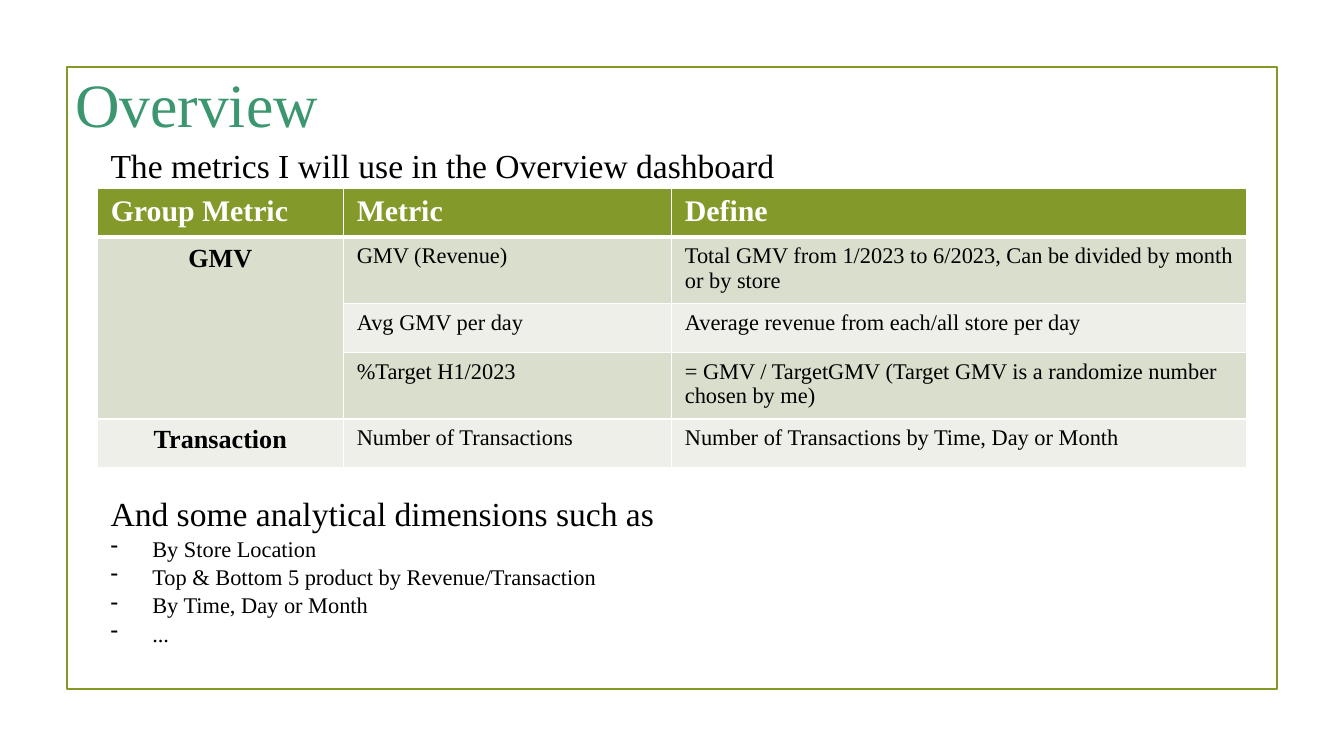
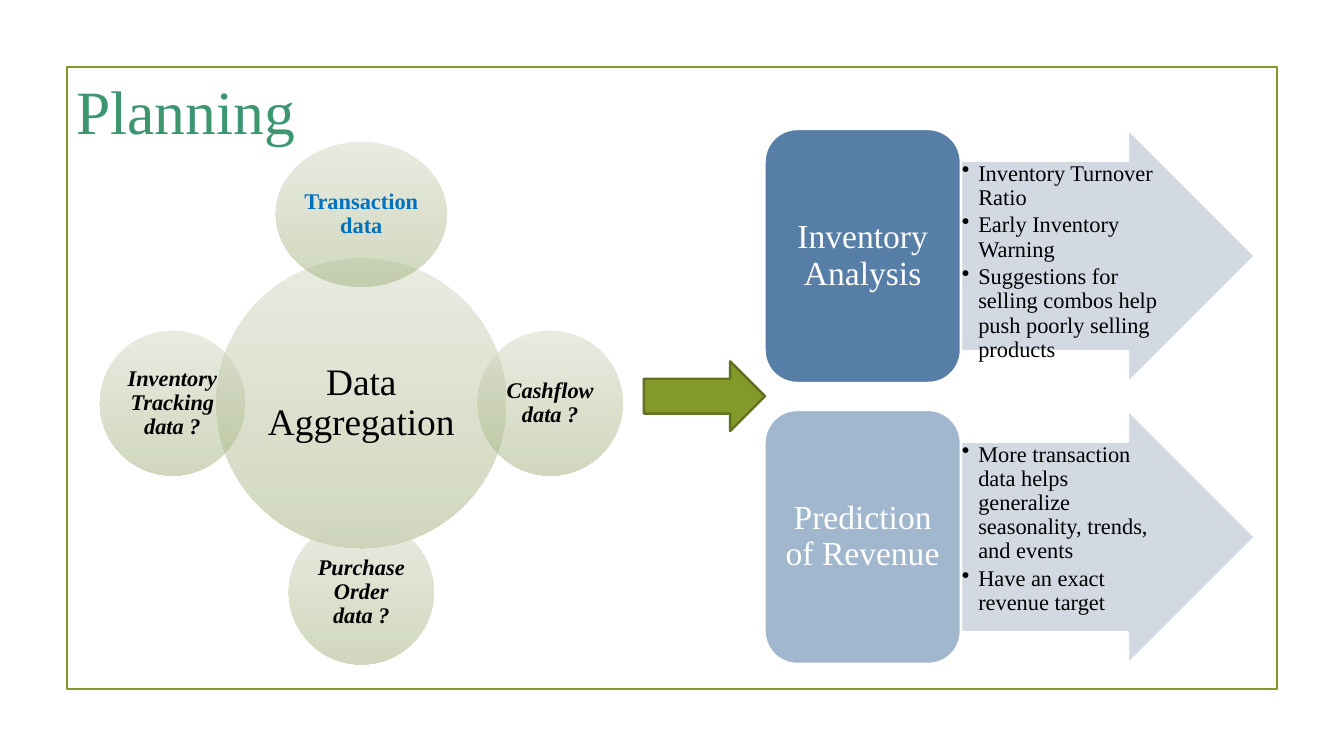
from pptx import Presentation
from pptx.dml.color import RGBColor
from pptx.enum import shapes, text
from pptx.oxml import ns
from pptx.util import Cm, Pt
from lxml import etree

FONT = "Times New Roman"
OLIVE = RGBColor(0x83, 0x99, 0x2A)
DARK_OLIVE = RGBColor(0x61, 0x71, 0x1F)
TITLE_GREEN = RGBColor(0x3C, 0x97, 0x70)
BLACK = RGBColor(0, 0, 0)
WHITE = RGBColor(0xFF, 0xFF, 0xFF)
BAND_DARK = RGBColor(0xD9, 0xDE, 0xCD)
BAND_LIGHT = RGBColor(0xED, 0xEF, 0xE8)
CIRCLE_TOP = RGBColor(0xD3, 0xD9, 0xC4)
CIRCLE_BOTTOM = RGBColor(0xA3, 0xB1, 0x7D)
LINK_BLUE = RGBColor(0x00, 0x70, 0xC0)
CARD_BLUE = RGBColor(0x44, 0x70, 0x9D)
ARROW_GREY = RGBColor(0xCF, 0xD5, 0xDF)

LEFT, CENTER = text.PP_ALIGN.LEFT, text.PP_ALIGN.CENTER
TOP, MIDDLE = text.MSO_ANCHOR.TOP, text.MSO_ANCHOR.MIDDLE

METRICS = [
    ("Group Metric", "Metric", "Define"),
    ("GMV", "GMV (Revenue)",
     "Total GMV from 1/2023 to 6/2023, Can be divided by month or by store"),
    ("", "Avg GMV per day", "Average revenue from each/all store per day"),
    ("", "%Target H1/2023",
     "= GMV / TargetGMV (Target GMV is a randomize number chosen by me)"),
    ("Transaction", "Number of Transactions",
     "Number of Transactions by Time, Day or Month"),
]
DIMENSIONS = ["By Store Location", "Top & Bottom 5 product by Revenue/Transaction",
              "By Time, Day or Month", "..."]
# Text, horizontal and vertical direction from the hub, width, format
SOURCES = [
    ("Transaction data", 0, -1, 3.23, {"color": LINK_BLUE}),
    ("Cashflow data ?", 1, 0, 2.74, {"italic": True}),
    ("Purchase Order data ?", 0, 1, 2.74, {"italic": True}),
    ("Inventory Tracking data ?", -1, 0, 2.74, {"italic": True}),
]
PLANS = [
    ("Inventory Analysis", 90,
     ["Inventory Turnover Ratio", "Early Inventory Warning",
      "Suggestions for selling combos help push poorly selling products"]),
    ("Prediction of Revenue", 50,
     ["More transaction data helps generalize seasonality, trends, and events",
      "Have an exact revenue target"]),
]


def write(frame, words, size=12, color=BLACK, bold=False, italic=False, align=LEFT,
          spacing=None, after=None, bullet=None, indent=0):
    """Add a paragraph, filling the first one while the frame is still empty."""
    paragraph = frame.paragraphs[0] if not frame.text else frame.add_paragraph()
    run = paragraph.add_run()
    run.text = words
    font = run.font
    font.name, font.size, font.bold, font.italic = FONT, Pt(size), bold, italic
    font.color.rgb = color
    paragraph.alignment = align
    if spacing:
        paragraph.line_spacing = spacing
    if after:
        paragraph.space_after = Pt(after)
    if bullet:
        properties = paragraph._p.get_or_add_pPr()
        properties.set("marL", str(Cm(indent)))
        properties.set("indent", str(-Cm(indent)))
        etree.SubElement(properties, ns.qn("a:buChar"), char=bullet)


def set_margins(frame, horizontal, vertical):
    frame.margin_left = frame.margin_right = Cm(horizontal)
    frame.margin_top = frame.margin_bottom = Cm(vertical)


def add_shape(slide, kind, box, fill=None, opacity=100, line=None, margins=(0.05, 0.05),
              anchor=MIDDLE):
    """Add a preset shape; a pair of fill colours makes a vertical gradient."""
    shape = slide.shapes.add_shape(kind, *map(Cm, box))
    shape.shadow.inherit = False
    if fill is None:
        shape.fill.background()
    elif isinstance(fill, list):
        shape.fill.gradient()
        shape.fill.gradient_angle = 270
        for stop, color in zip(shape.fill.gradient_stops, fill):
            stop.color.rgb = color
    else:
        shape.fill.solid()
        shape.fill.fore_color.rgb = fill
    if opacity < 100:
        for color in list(shape.element.spPr.iter(ns.qn("a:srgbClr"))):
            etree.SubElement(color, ns.qn("a:alpha"), val=str(opacity * 1000))
    if line is None:
        shape.line.fill.background()
    else:
        shape.line.color.rgb = line
        shape.line.width = Pt(1.25)
    shape.text_frame.word_wrap = True
    shape.text_frame.vertical_anchor = anchor
    set_margins(shape.text_frame, *margins)
    return shape


def add_text_box(slide, box):
    frame = slide.shapes.add_textbox(*map(Cm, box)).text_frame
    frame.word_wrap = True
    return frame


def add_titled_slide(presentation, title, box):
    slide = presentation.slides.add_slide(presentation.slide_layouts[5])
    shape = slide.shapes.title
    shape.left, shape.top, shape.width, shape.height = map(Cm, box)
    frame = shape.text_frame
    frame.auto_size = text.MSO_AUTO_SIZE.NONE
    frame.vertical_anchor = TOP
    set_margins(frame, 0.25, 0.25)
    frame.margin_top = Cm(0.41)
    write(frame, title, size=33, color=TITLE_GREEN)
    return slide


def add_frame_to_layout(slide):
    """Draw the olive frame and hand it to the layout that all slides share."""
    frame = add_shape(slide, shapes.MSO_SHAPE.RECTANGLE, (1.27, 1.27, 22.86, 11.76),
                      line=OLIVE)
    slide.slide_layout.shapes.element.insert(2, frame.element)


def set_borders(cell, top=1, bottom=1):
    properties = cell._tc.get_or_add_tcPr()
    for side, width in (("L", 1), ("R", 1), ("T", top), ("B", bottom)):
        line = etree.SubElement(properties, ns.qn("a:ln" + side), w=str(Pt(width)))
        fill = etree.SubElement(line, ns.qn("a:solidFill"))
        etree.SubElement(fill, ns.qn("a:srgbClr"), val=str(WHITE))


def add_metrics_table(slide, box):
    table = slide.shapes.add_table(len(METRICS), 3, *map(Cm, box)).table
    for column, width in zip(table.columns, (4.65, 6.2, 10.88)):
        column.width = Cm(width)
    for row, height in zip(table.rows, (0.92, 1.26, 0.92, 1.26, 0.92)):
        row.height = Cm(height)
    for r, values in enumerate(METRICS):
        for c, value in enumerate(values):
            cell = table.cell(r, c)
            set_borders(cell, top=3 if r == 1 else 1, bottom=3 if r == 0 else 1)
            cell.fill.solid()
            if r == 0:
                cell.fill.fore_color.rgb = OLIVE
                style = {"size": 16, "color": WHITE, "bold": True}
            else:
                cell.fill.fore_color.rgb = BAND_DARK if r % 2 else BAND_LIGHT
                style = {"size": 14, "bold": True, "align": CENTER} if c == 0 else {}
            if value:
                write(cell.text_frame, value, **style)
    table.cell(1, 0).merge(table.cell(3, 0))


def add_dimensions(slide, box):
    frame = add_text_box(slide, box)
    write(frame, "And some analytical dimensions such as", size=18)
    for dimension in DIMENSIONS:
        write(frame, dimension, bullet="-", indent=0.79, spacing=1.06)


def add_circle(slide, center_x, center_y, width, height, words, **style):
    box = (center_x - width / 2, center_y - height / 2, width, height)
    circle = add_shape(slide, shapes.MSO_SHAPE.OVAL, box,
                       fill=[CIRCLE_TOP, CIRCLE_BOTTOM], opacity=50)
    write(circle.text_frame, words, align=CENTER, spacing=0.9, **style)


def add_data_sources(slide, box):
    """Place a large hub in the middle of the box and a source at each side."""
    left, top, width, height = box
    center_x, center_y = left + width / 2, top + height / 2
    small = 2.74
    reach = (width - small) / 2
    add_circle(slide, center_x, center_y, 2 * small, 2 * small, "Data Aggregation", size=20)
    for words, across, down, source_width, style in SOURCES:
        add_circle(slide, center_x + across * reach, center_y + down * reach,
                   source_width, small, words, bold=True, **style)


def add_plans(slide, box):
    """Stack the plans, each a card followed by an arrow with its details."""
    left, top, width, height = box
    gap, card_width = 0.51, 3.71
    row_height = (height - gap * (len(PLANS) - 1)) / len(PLANS)
    for index, (name, opacity, details) in enumerate(PLANS):
        y = top + index * (row_height + gap)
        arrow = add_shape(slide, shapes.MSO_SHAPE.RIGHT_ARROW,
                          (left + card_width, y, width - card_width, row_height),
                          fill=ARROW_GREY, opacity=90, line=WHITE,
                          margins=(0.02, 0.02), anchor=TOP)
        arrow.adjustments[0] = 0.75
        for detail in details:
            write(arrow.text_frame, detail, bullet="•", indent=0.31, spacing=0.9, after=1.8)
        card = add_shape(slide, shapes.MSO_SHAPE.ROUNDED_RECTANGLE,
                         (left, y, card_width, row_height), fill=CARD_BLUE,
                         opacity=opacity, line=WHITE, margins=(0.18, 0.1))
        write(card.text_frame, name, size=18, color=WHITE, align=CENTER, spacing=0.9)


def build_overview(presentation):
    slide = add_titled_slide(presentation, "Overview", (1.17, 0.84, 5.41, 1.73))
    add_frame_to_layout(slide)
    add_metrics_table(slide, (1.84, 3.56, 21.73, 5.28))
    write(add_text_box(slide, (1.84, 2.62, 16.97, 1.02)),
          "The metrics I will use in the Overview dashboard", size=18)
    add_dimensions(slide, (1.84, 9.19, 16.48, 3.07))


def build_planning(presentation):
    slide = add_titled_slide(presentation, "Planning", (1.19, 0.97, 4.98, 1.37))
    add_data_sources(slide, (1.89, 2.68, 9.88, 9.88))
    add_plans(slide, (14.45, 2.44, 9.27, 10.11))
    add_shape(slide, shapes.MSO_SHAPE.RIGHT_ARROW, (12.17, 6.83, 2.29, 1.32),
              fill=OLIVE, line=DARK_OLIVE)


def main():
    presentation = Presentation()
    presentation.slide_width, presentation.slide_height = Cm(25.4), Cm(14.29)
    build_overview(presentation)
    build_planning(presentation)
    presentation.save("out.pptx")


if __name__ == "__main__":
    main()
